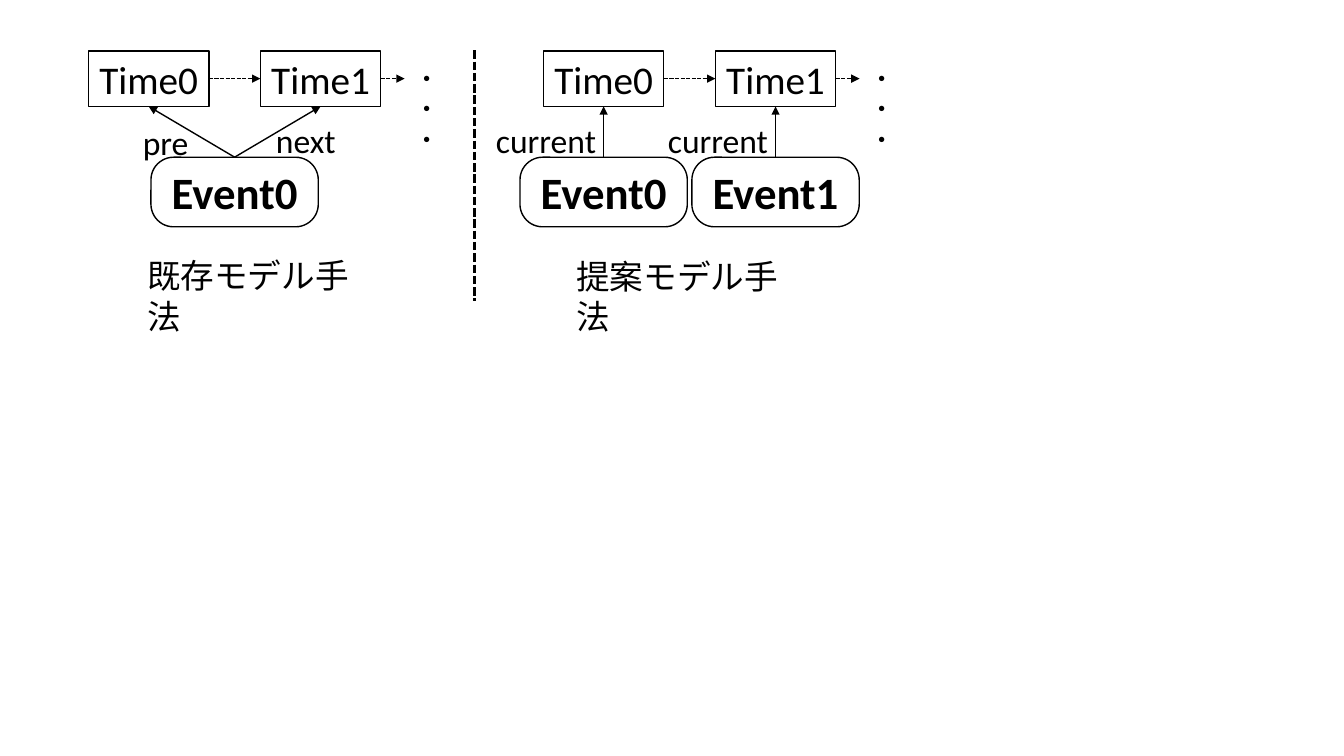
import pptx
import pptx.dml.color
import pptx.enum.dml
import pptx.enum.shapes
import pptx.enum.text
import pptx.oxml.ns
import pptx.util
from lxml import etree

Pt = pptx.util.Pt
SHAPES = pptx.enum.shapes.MSO_SHAPE
COLORS = {"ink": "000000", "paper": "FFFFFF"}
TOP, LEFT, BOTTOM, RIGHT = range(4)

# Shared measures, in points
TIME_TOP, TIME_WIDTH, TIME_HEIGHT = 36.4, 86, 39.6
TIME_STEP = 122.8
EVENT_TOP, EVENT_WIDTH, EVENT_HEIGHT = 112.3, 119.5, 49.7
LABEL_TOP, LABEL_HEIGHT = 82, 36
ARROW_Y = TIME_TOP + TIME_HEIGHT / 2


class Diagram:
    """Holds the text and line style and the page being drawn."""

    def __init__(self, page, font="Calibri"):
        self.page = page
        self.font = font

    def color(self, name):
        return pptx.dml.color.RGBColor.from_string(COLORS[name])

    def add_text(self, box, text, size, bold=False):
        para = box.text_frame.paragraphs[0]
        span = para.add_run()
        span.text = text
        span.font.name = self.font
        span.font.size = Pt(size)
        span.font.bold = bold
        span.font.color.rgb = self.color("ink")
        return para

    def shape(self, kind, x, y, width, height, line="ink", fill=None):
        box = self.page.shapes.add_shape(kind, Pt(x), Pt(y), Pt(width), Pt(height))
        box.shadow.inherit = False
        if fill:
            box.fill.solid()
            box.fill.fore_color.rgb = self.color(fill)
        else:
            box.fill.background()
        box.line.color.rgb = self.color(line)
        box.line.width = Pt(1)
        return box

    def node(self, kind, x, y, width, height, text, size, bold=False):
        box = self.shape(kind, x, y, width, height)
        box.text_frame.word_wrap = True
        box.text_frame.vertical_anchor = pptx.enum.text.MSO_ANCHOR.MIDDLE
        para = self.add_text(box, text, size, bold)
        para.alignment = pptx.enum.text.PP_ALIGN.CENTER
        return box

    def time(self, center, text):
        return self.node(SHAPES.RECTANGLE, center - TIME_WIDTH / 2, TIME_TOP,
                         TIME_WIDTH, TIME_HEIGHT, text, 28)

    def event(self, center, text):
        box = self.node(SHAPES.ROUNDED_RECTANGLE, center - EVENT_WIDTH / 2, EVENT_TOP,
                        EVENT_WIDTH, EVENT_HEIGHT, text, 32, bold=True)
        box.adjustments[0] = 0.325
        return box

    def label(self, x, y, width, height, text, size=24):
        box = self.page.shapes.add_textbox(Pt(x), Pt(y), Pt(width), Pt(height))
        box.text_frame.word_wrap = True
        box.text_frame.auto_size = pptx.enum.text.MSO_AUTO_SIZE.SHAPE_TO_FIT_TEXT
        self.add_text(box, text, size)

    def line(self, start, end, width=1, dashed=False, arrow=True):
        """Each end is an (x, y) point or a (shape, side) pair."""
        joined = [not isinstance(tip[0], (int, float)) for tip in (start, end)]
        x1, y1 = (0, 0) if joined[0] else start
        x2, y2 = (0, 0) if joined[1] else end
        link = self.page.shapes.add_connector(
            pptx.enum.shapes.MSO_CONNECTOR.STRAIGHT, Pt(x1), Pt(y1), Pt(x2), Pt(y2))
        if joined[0]:
            link.begin_connect(*start)
        if joined[1]:
            link.end_connect(*end)
        link.line.color.rgb = self.color("ink")
        link.line.width = Pt(width)
        if dashed:
            link.line.dash_style = pptx.enum.dml.MSO_LINE.SQUARE_DOT
        qn = pptx.oxml.ns.qn
        properties = link.element.spPr
        if arrow:
            etree.SubElement(properties.find(qn("a:ln")), qn("a:tailEnd"), type="triangle")
        etree.SubElement(properties, qn("a:effectLst"))

    def timeline(self, first):
        """Two time boxes and a continuation; gives the boxes back."""
        second = first + TIME_STEP
        times = self.time(first, "Time0"), self.time(second, "Time1")
        self.line((times[0], RIGHT), (times[1], LEFT), dashed=True)
        dots_left = second + 60
        self.label(dots_left, 41.8, 41.8, 28.8, "・・・", 18)
        self.line((times[1], RIGHT), (dots_left, ARROW_Y), dashed=True)
        return times


def main():
    deck = pptx.Presentation()
    deck.slide_width, deck.slide_height = Pt(960), Pt(540)
    diagram = Diagram(deck.slides.add_slide(deck.slide_layouts[6]))

    # White backing panel
    diagram.shape(SHAPES.RECTANGLE, 22.3, 36, 633, 179, line="paper", fill="paper")

    # Existing model: one event between two times
    first = 106.2
    times = diagram.timeline(first)
    event = diagram.event(first + TIME_STEP / 2, "Event0")
    for time in times:
        diagram.line((event, TOP), (time, BOTTOM))
    diagram.label(95, LABEL_TOP + 1.5, 55.4, LABEL_HEIGHT, "pre")
    diagram.label(190, LABEL_TOP, 59, LABEL_HEIGHT, "next")
    diagram.label(98, 178.8, 180.7, 36, "既存モデル手法")

    # Proposed model: one event for each time
    first = 431.2
    for index, time in enumerate(diagram.timeline(first)):
        center = first + index * TIME_STEP
        event = diagram.event(center, f"Event{index}")
        diagram.line((event, TOP), (time, BOTTOM))
        diagram.label(center - 84, LABEL_TOP, 86.4, LABEL_HEIGHT, "current")
    diagram.label(404.6, 179.2, 180.7, 36, "提案モデル手法")

    # Divider between the models
    diagram.line((339, 36), (339, 215), width=2, dashed=True, arrow=False)

    deck.save("out.pptx")


if __name__ == "__main__":
    main()
